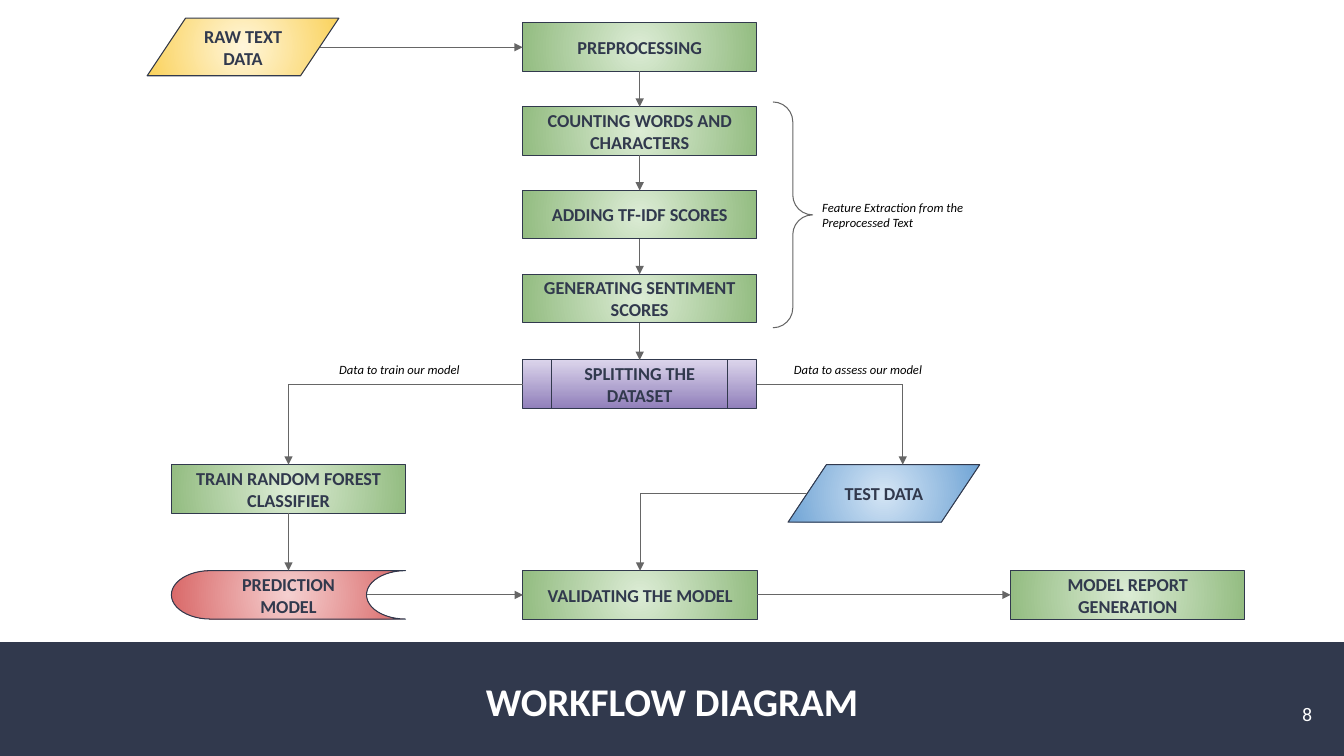
import lxml.etree
import pptx
import pptx.dml.color
import pptx.enum.shapes
import pptx.enum.text
import pptx.oxml.ns
import pptx.util

Cm = pptx.util.Cm
Shape = pptx.enum.shapes.MSO_SHAPE
Align = pptx.enum.text.PP_ALIGN
Anchor = pptx.enum.text.MSO_ANCHOR
qn = pptx.oxml.ns.qn

NAVY, GREY, WHITE, BLACK = "31394D", "666666", "FFFFFF", "000000"
GREEN = ("DCECD5", "93BC81")
YELLOW = ("FFF6DB", "FAD25C")
BLUE = ("D4E5F5", "70A4D5")
RED = ("F5D0D0", "D96868")
PURPLE = ("DBD4EB", "9180BB")
STEP_WIDTH, STEP_HEIGHT = 5.9, 1.22
DATA_WIDTH, DATA_HEIGHT = 4.83, 1.45
TOP, LEFT, BOTTOM, RIGHT = range(4)


def color(value):
    """Turn a hex string into a colour."""
    return pptx.dml.color.RGBColor.from_string(value)


def write(shape, text, size, ink, align, anchor, font="Calibri", bold=None, italic=None, inset=None):
    """Fill a shape with one formatted paragraph."""
    frame = shape.text_frame
    frame.word_wrap = True
    frame.auto_size = pptx.enum.text.MSO_AUTO_SIZE.NONE
    frame.vertical_anchor = anchor
    if inset is not None:
        frame.margin_left = frame.margin_right = Cm(inset)
        frame.margin_top = frame.margin_bottom = Cm(inset)
    para = frame.paragraphs[0]
    para.text = text
    para.alignment = align
    para.font.name = font
    para.font.size = pptx.util.Pt(size)
    para.font.bold = bold
    para.font.italic = italic
    para.font.color.rgb = color(ink)


def outline(shape, ink):
    """Give a shape or connector a thin line."""
    shape.line.color.rgb = color(ink)
    shape.line.width = pptx.util.Pt(0.75)


def shade(shape, stops, radial):
    """Fill a shape with a two-colour gradient, radial or downward."""
    shape.fill.gradient()
    shape.fill.gradient_angle = 270
    for stop, value in zip(shape.fill.gradient_stops, stops):
        stop.color.rgb = color(value)
    if radial:
        gradient = shape.element.spPr.find(qn("a:gradFill"))
        gradient.remove(gradient.find(qn("a:lin")))
        circle = lxml.etree.SubElement(gradient, qn("a:path"), path="circle")
        lxml.etree.SubElement(circle, qn("a:fillToRect"), l="50000", t="50000", r="50000", b="50000")


def add_node(page, text, left, top, kind=Shape.FLOWCHART_PROCESS, stops=GREEN,
             width=STEP_WIDTH, height=STEP_HEIGHT, radial=True):
    """Add one labelled flowchart node."""
    node = page.shapes.add_shape(kind, Cm(left), Cm(top), Cm(width), Cm(height))
    node.shadow.inherit = False
    shade(node, stops, radial)
    outline(node, NAVY)
    write(node, text, 13, NAVY, Align.CENTER, Anchor.MIDDLE, bold=True)
    return node


def add_data(page, text, left, top, stops):
    """Add one data parallelogram."""
    return add_node(page, text, left, top, Shape.FLOWCHART_DATA, stops, DATA_WIDTH, DATA_HEIGHT)


def add_link(page, start, end, arrow=True):
    """Join two ends, each an (x, y) point in cm or a (node, side) pair."""
    ends = [(0, 0) if hasattr(end_[0], "shape_id") else end_ for end_ in (start, end)]
    link = page.shapes.add_connector(
        pptx.enum.shapes.MSO_CONNECTOR.STRAIGHT, *(Cm(value) for point in ends for value in point))
    for attach, target in ((link.begin_connect, start), (link.end_connect, end)):
        if hasattr(target[0], "shape_id"):
            attach(*target)
    outline(link, GREY)
    if arrow:
        lxml.etree.SubElement(link.line._get_or_add_ln(), qn("a:tailEnd"), type="triangle")
    lxml.etree.SubElement(link.element.spPr, qn("a:effectLst"))


def add_note(page, text, left, top):
    """Add a small italic remark."""
    note = page.shapes.add_textbox(Cm(left), Cm(top), Cm(4.6), Cm(1.63))
    write(note, text, 9, BLACK, Align.LEFT, Anchor.TOP, italic=True, inset=0.25)


def draw_preparation(page, left, top):
    """Draw the data source and the column of steps, and return the split node."""
    column, pitch = left + 9.46, 2.11
    add_data(page, "RAW TEXT DATA", left, top, YELLOW)
    names = ("PREPROCESSING", "COUNTING WORDS AND CHARACTERS",
             "ADDING TF-IDF SCORES", "GENERATING SENTIMENT SCORES")
    steps = [add_node(page, name, column, top + 0.12 + row * pitch) for row, name in enumerate(names)]
    steps.append(add_node(page, "SPLITTING THE DATASET", column, top + 8.61,
                          Shape.FLOWCHART_PREDEFINED_PROCESS, PURPLE, radial=False))
    add_link(page, (left + 4.35, top + 0.73), (steps[0], LEFT))
    for upper, lower in zip(steps, steps[1:]):
        add_link(page, (upper, BOTTOM), (lower, TOP))

    brace = page.shapes.add_shape(
        Shape.RIGHT_BRACE, Cm(column + 6.31), Cm(top + 2.11), Cm(1), Cm(5.69))
    brace.adjustments[0] = brace.adjustments[1] = 0.5
    brace.shadow.inherit = False
    brace.fill.background()
    outline(brace, GREY)
    add_note(page, "Feature Extraction from the Preprocessed Text", column + 7.3, top + 4.32)
    return steps[-1]


def draw_modelling(page, left, top, split):
    """Draw the training and testing branches below the split node."""
    bottom, middle = top + 2.67, left + 8.86
    train = add_node(page, "TRAIN RANDOM FOREST CLASSIFIER", left, top)
    model = add_node(page, "PREDICTION MODEL", left, bottom, Shape.FLOWCHART_STORED_DATA, RED)
    validation = add_node(page, "VALIDATING THE MODEL", middle, bottom)
    report = add_node(page, "MODEL REPORT GENERATION", left + 21.15, bottom)
    add_data(page, "TEST DATA", left + 15.54, top, BLUE)

    split_level, test_level = top - 2.03, top + DATA_HEIGHT / 2
    train_corner = (left + STEP_WIDTH / 2, split_level)
    test_corner = (left + 18.43, split_level)
    validation_corner = (middle + STEP_WIDTH / 2, test_level)
    add_link(page, (split, LEFT), train_corner, arrow=False)
    add_link(page, train_corner, (train, TOP))
    add_link(page, (split, RIGHT), test_corner, arrow=False)
    add_link(page, test_corner, (test_corner[0], top))
    add_link(page, (left + 16.02, test_level), validation_corner, arrow=False)
    add_link(page, validation_corner, (validation, TOP))
    add_link(page, (train, BOTTOM), (model, TOP))
    add_link(page, (left + 4.92, bottom + STEP_HEIGHT / 2), (validation, LEFT))
    add_link(page, (validation, RIGHT), (report, LEFT))
    add_note(page, "Data to train our model", left + 3.98, top - 2.85)
    add_note(page, "Data to assess our model", left + 15.44, top - 2.85)


def draw_footer(page, top, width, height):
    """Draw the dark band with the title and the page number."""
    band = page.shapes.add_shape(Shape.RECTANGLE, 0, Cm(top), Cm(width), Cm(height))
    band.shadow.inherit = False
    band.fill.solid()
    band.fill.fore_color.rgb = color(NAVY)
    band.line.fill.background()
    title = page.shapes.title
    title.element.addprevious(band.element)
    title.left, title.top = Cm(1.47), Cm(top + 0.1)
    title.width, title.height = Cm(width - 2.94), Cm(height - 0.1)
    write(title, "WORKFLOW DIAGRAM", 28, WHITE, Align.CENTER, Anchor.MIDDLE, bold=True, inset=0.33)
    number = page.shapes.add_textbox(Cm(width - 2.5), Cm(top + 1.09), Cm(2.03), Cm(1.45))
    write(number, "8", 13, WHITE, Align.RIGHT, Anchor.MIDDLE, font="Roboto", inset=0.33)


def main():
    """Build and save the deck."""
    deck = pptx.Presentation()
    deck.slide_width, deck.slide_height = Cm(33.87), Cm(19.05)
    page = deck.slides.add_slide(deck.slide_layouts[5])
    draw_footer(page, 16.18, 33.87, 2.87)
    split = draw_preparation(page, 3.71, 0.46)
    draw_modelling(page, 4.32, 11.71, split)
    deck.save("out.pptx")


if __name__ == "__main__":
    main()
